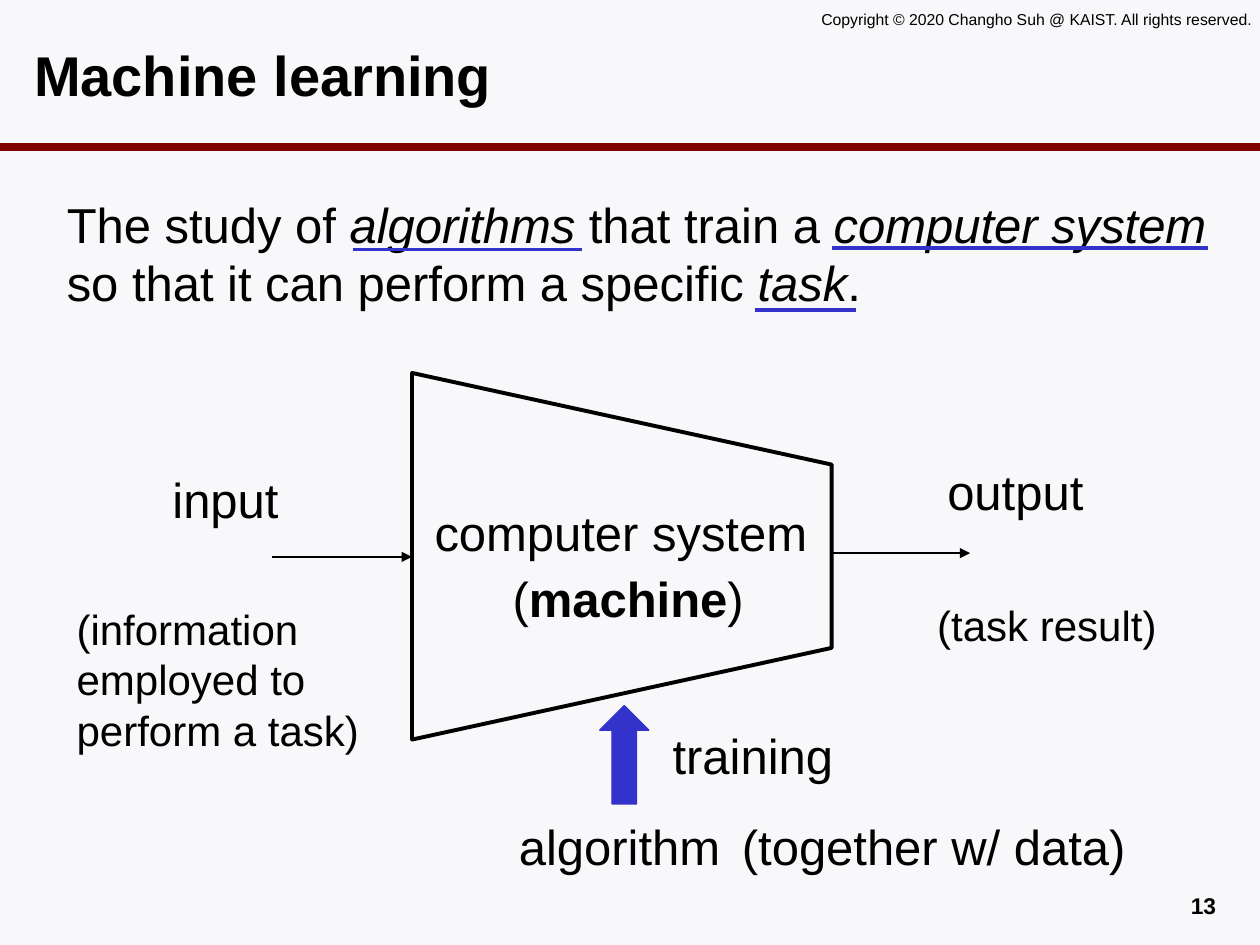
import dataclasses
import typing

import pptx
import pptx.dml.color
import pptx.enum.shapes
import pptx.enum.text
import pptx.oxml
import pptx.oxml.ns
import pptx.util

COLS, ROWS = 100, 75
HUES = {"back": "F8F8FA", "ink": "000000", "rule": "800000", "mark": "3333CC"}
ALIGN = pptx.enum.text.PP_ALIGN
ANCHOR = pptx.enum.text.MSO_ANCHOR
SHAPE = pptx.enum.shapes.MSO_SHAPE
Box = tuple[float, float, float, float]


@dataclasses.dataclass
class Label:
    box: Box
    runs: list[tuple[str, str]]
    size: float = 28
    align: typing.Any = ALIGN.LEFT
    anchor: typing.Any = ANCHOR.TOP
    head: float = 1
    wrap: bool = True


@dataclasses.dataclass
class Line:
    start: tuple[float, float]
    end: tuple[float, float]
    hue: str
    width: float
    arrow: bool = False


deck = pptx.Presentation()
deck.slide_width = pptx.util.Inches(10)
deck.slide_height = pptx.util.Inches(7.5)
slide = deck.slides.add_slide(deck.slide_layouts[1])


def col(count: float) -> int:
    return round(deck.slide_width * count / COLS)


def row(count: float) -> int:
    return round(deck.slide_height * count / ROWS)


def place(box: Box) -> tuple[int, int, int, int]:
    left, top, width, height = box
    return col(left), row(top), col(width), row(height)


def tint(name: str) -> pptx.dml.color.RGBColor:
    return pptx.dml.color.RGBColor.from_string(HUES[name])


def apply(thing: typing.Any, values: dict[str, typing.Any]) -> None:
    for name, value in values.items():
        setattr(thing, name, value)


def tag(parent: typing.Any, name: str, **attrs: str) -> None:
    node = parent.makeelement(pptx.oxml.ns.qn(name), attrs)
    parent.append(node)


def write(shape: typing.Any, label: Label) -> None:
    apply(shape, dict(zip(("left", "top", "width", "height"), place(label.box))))
    frame = shape.text_frame
    apply(frame, {
        "word_wrap": label.wrap,
        "auto_size": pptx.enum.text.MSO_AUTO_SIZE.NONE,
        "vertical_anchor": label.anchor,
        "margin_left": col(1), "margin_right": col(1),
        "margin_top": row(label.head), "margin_bottom": row(0.5),
    })
    para = frame.paragraphs[0]
    apply(para, {"alignment": label.align, "space_before": pptx.util.Pt(0)})
    for text, style in label.runs:
        run = para.add_run()
        run.text = text
        apply(run.font, {
            "name": "Arial", "size": pptx.util.Pt(label.size),
            "bold": style == "bold", "italic": style == "slant",
        })
        run.font.color.rgb = tint("ink")


def draw(line: Line) -> None:
    link = slide.shapes.add_connector(
        pptx.enum.shapes.MSO_CONNECTOR.STRAIGHT,
        col(line.start[0]), row(line.start[1]), col(line.end[0]), row(line.end[1]))
    link.line.color.rgb = tint(line.hue)
    link.line.width = pptx.util.Pt(line.width)
    if line.arrow:
        tag(link.line._get_or_add_ln(), "a:tailEnd", type="triangle")
    tag(link._element.spPr, "a:effectLst")


def block(kind: typing.Any, box: Box, hue: str, width: float, solid: bool) -> typing.Any:
    shape = slide.shapes.add_shape(kind, *place(box))
    shape.shadow.inherit = False
    if solid:
        shape.fill.solid()
        shape.fill.fore_color.rgb = tint(hue)
    else:
        shape.fill.background()
    shape.line.color.rgb = tint(hue)
    shape.line.width = pptx.util.Pt(width)
    return shape


TITLE = Label((1.7, 1.7, 95.6, 8.3), [("Machine learning", "bold")],
              size=32, anchor=ANCHOR.MIDDLE, head=0.5)
BODY = Label((4.3, 14.4, 93.7, 11), [
    ("The study of ", ""), ("algorithms", "slant"), (" that train a ", ""),
    ("computer system ", "slant"), ("so that it can perform a specific ", ""),
    ("task", "slant"), (".", "")])
LABELS = [
    Label((64.2, 0.3, 37.3, 2.5),
          [("Copyright © 2020 Changho Suh @ KAIST. All rights reserved.", "")],
          size=9, head=0.5, wrap=False),
    Label((74.2, 70.3, 23.3, 2.7), [("13", "bold")],
          size=13, align=ALIGN.RIGHT, head=0.5),
    Label((33.5, 38.9, 33.9, 6.9), [("computer system", "")]),
    Label((39.7, 44.1, 20.5, 6.9), [("(", ""), ("machine", "bold"), (")", "")]),
    Label((12.7, 36.3, 11.3, 6), [("input", "")]),
    Label((5.1, 46.9, 28.3, 14.3),
          [("(information employed to perform a task)", "")], size=24),
    Label((74.2, 35.6, 16, 6), [("output", "")]),
    Label((73.4, 46.6, 20.7, 5.9), [("(task result)", "")], size=24),
    Label((40.2, 63.8, 20, 6), [("algorithm", "")]),
    Label((52.4, 56.6, 17.3, 6), [("training", "")]),
    Label((57.9, 63.8, 41.7, 6), [("(together w/ data)", "")]),
]
LINES = [
    Line((0, 11.7), (COLS, 11.7), "rule", 4.5),
    Line((21.6, 44.2), (32.7, 44.2), "ink", 0.75, True),
    Line((66, 43.9), (77, 43.9), "ink", 0.75, True),
    Line((66, 19.7), (95.9, 19.7), "mark", 2.25),
    Line((28, 19.8), (46.2, 19.8), "mark", 2.25),
    Line((59.9, 24.6), (67.9, 24.6), "mark", 2.25),
]


def main() -> None:
    slide.background.fill.solid()
    slide.background.fill.fore_color.rgb = tint("back")
    body = slide.placeholders[1]
    props = body.text_frame.paragraphs[0]._p.get_or_add_pPr()
    apply(props, {})
    for name in ("marL", "indent"):
        props.set(name, "0")
    tag(props, "a:buNone")
    write(slide.shapes.title, TITLE)
    write(body, BODY)
    funnel = block(SHAPE.TRAPEZOID, (34.8, 27.5, 29.1, 33.3), "ink", 2.25, False)
    funnel.rotation = 90
    block(SHAPE.UP_ARROW, (47.6, 56, 3.9, 7.8), "mark", 0.75, True)
    for label in LABELS:
        write(slide.shapes.add_textbox(*place(label.box)), label)
    for line in LINES:
        draw(line)
    deck.save("out.pptx")


if __name__ == "__main__":
    main()
